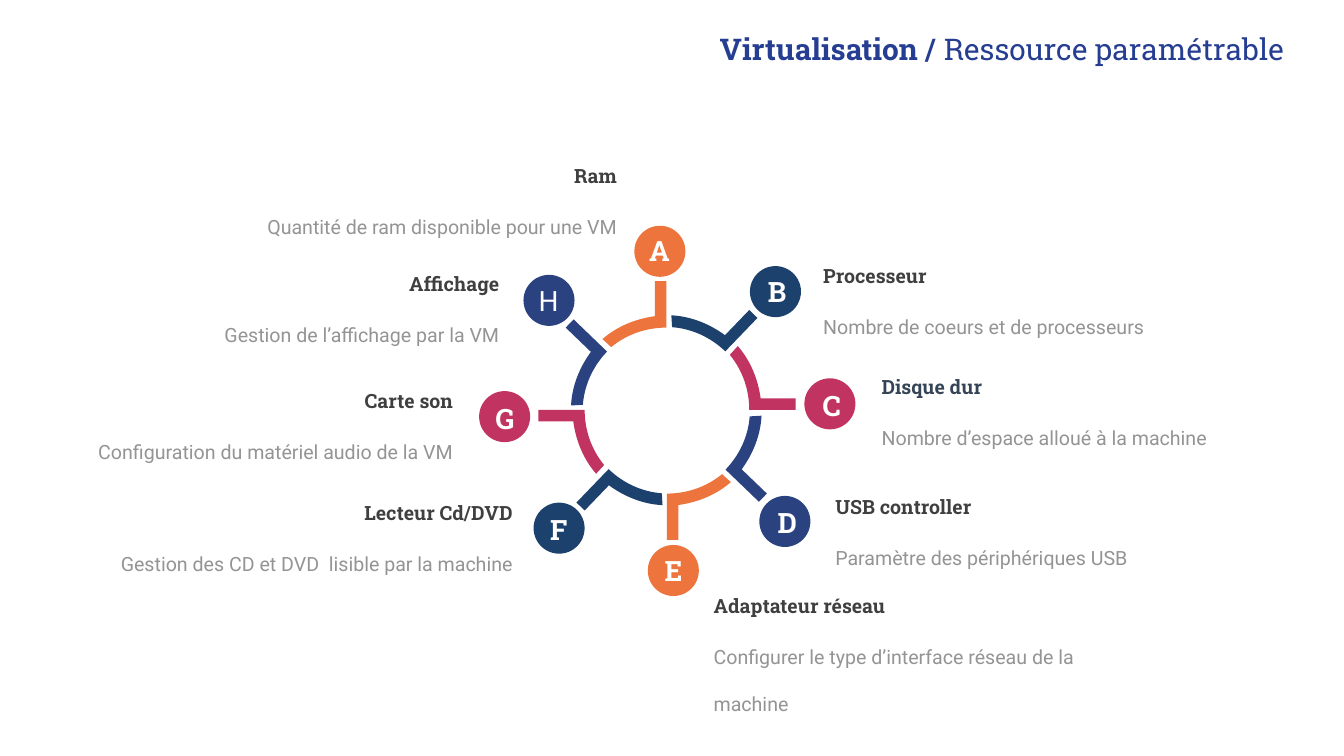
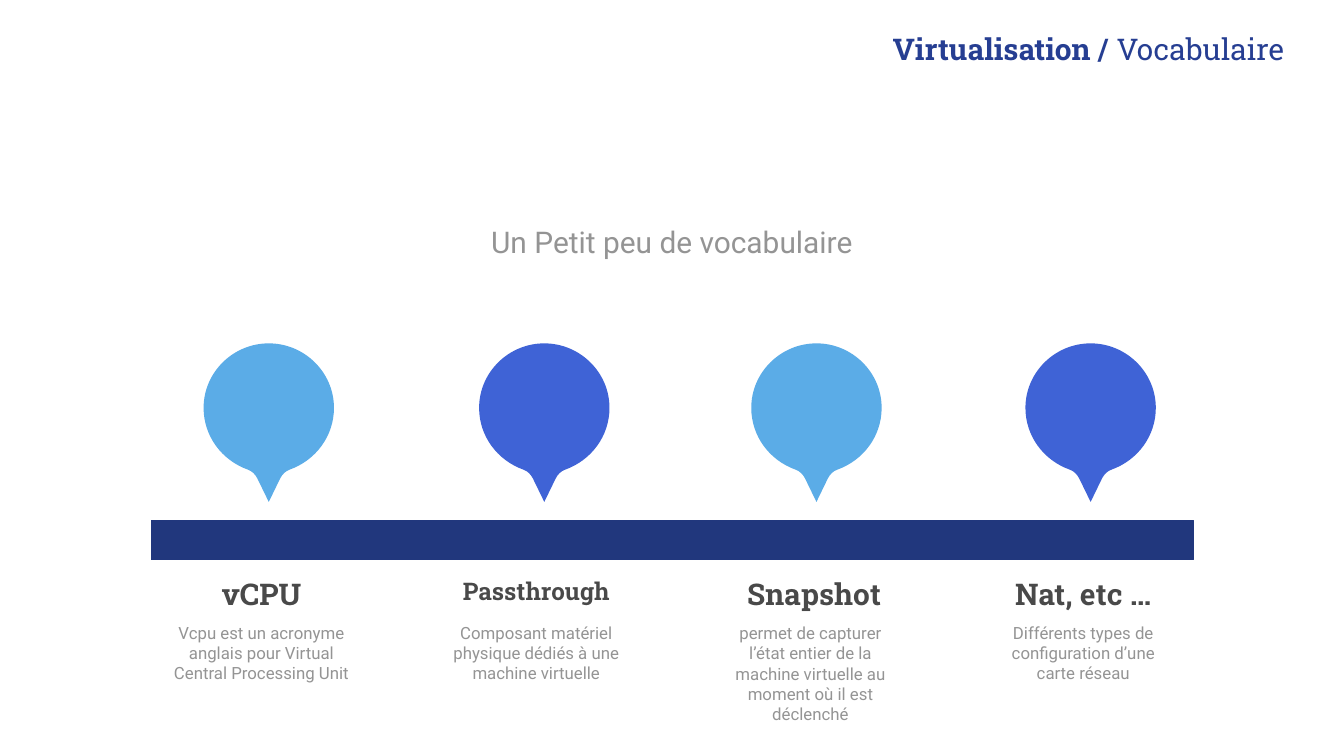
from dataclasses import dataclass

from lxml import etree
from pptx import Presentation
from pptx import util as u
from pptx.dml.color import RGBColor
from pptx.enum import shapes, text
from pptx.oxml import ns

Point = tuple[float, float]
Segment = tuple[Point, ...]  # one point: straight line; three points: Bézier curve

LEFT, CENTER, RIGHT = text.PP_ALIGN.LEFT, text.PP_ALIGN.CENTER, text.PP_ALIGN.RIGHT


@dataclass(frozen=True)
class TextStyle:
    font: str
    size: float
    color: str
    bold: bool = False


@dataclass(frozen=True)
class Theme:
    title_bold: TextStyle = TextStyle("Roboto Slab", 32, "263E92", True)
    title_plain: TextStyle = TextStyle("Roboto Slab", 32, "263E92")
    lead: TextStyle = TextStyle("Roboto", 32, "949494")
    badge: TextStyle = TextStyle("Roboto Slab", 30, "FFFFFF", True)
    badge_plain: TextStyle = TextStyle("Roboto", 30, "FFFFFF")
    label: TextStyle = TextStyle("Roboto Slab", 21, "3F3F3F", True)
    label_slate: TextStyle = TextStyle("Roboto Slab", 21, "364556", True)
    detail: TextStyle = TextStyle("Roboto", 21, "949494")
    term: TextStyle = TextStyle("Roboto Slab", 32, "494949", True)
    term_small: TextStyle = TextStyle("Roboto Slab", 26, "494949", True)
    definition: TextStyle = TextStyle("Roboto", 18, "949494")
    wheel: tuple[str, ...] = ("ED743C", "1C416D", "C13461", "2B4280")
    pins: tuple[str, ...] = ("5BACE7", "3F63D6")
    bar: str = "21377D"


THEME = Theme()


@dataclass(frozen=True)
class Resource:
    """One arm of the wheel; arm, badge and initial are top-left corners.

    edge is the side on which the name and the detail are aligned.
    """
    letter: str
    name: str
    detail: str
    arm: Point
    badge: Point
    initial: Point
    edge: float
    top: float
    align: text.PP_ALIGN = LEFT
    label: TextStyle = THEME.label
    initial_style: TextStyle = THEME.badge
    detail_height: float = 0.43


@dataclass(frozen=True)
class Term:
    """pin and column are the middles of the pin and of the text below."""
    name: str
    definition: str
    pin: float
    column: float
    style: TextStyle = THEME.term
    name_width: float = 2.25
    definition_top: float = 9.22


RESOURCES = (
    Resource("A", "Ram", "Quantité de ram disponible pour une VM",
             (8.95, 4.2), (9.44, 3.36), (9.53, 3.43), 9.22, 2.4, RIGHT),
    Resource("B", "Processeur", "Nombre de coeurs et de processeurs",
             (10.1, 4.28), (11.16, 3.96), (11.28, 4.04), 12.21, 3.88),
    Resource("C", "Disque dur", "Nombre d’espace alloué à la machine",
             (10.86, 5.15), (11.97, 5.63), (12.09, 5.74), 13.08, 5.54,
             label=THEME.label_slate),
    Resource("D", "USB controller", "Paramètre des périphériques USB",
             (10.78, 6.31), (11.3, 7.38), (11.43, 7.48), 12.39, 7.33),
    Resource("E", "Adaptateur réseau", "Configurer le type d’interface réseau de la machine",
             (9.91, 7.07), (9.64, 8.11), (9.74, 8.2), 10.58, 8.79, detail_height=1.14),
    Resource("F", "Lecteur Cd/DVD", "Gestion des CD et DVD  lisible par la machine",
             (8.77, 6.98), (7.94, 7.48), (8.03, 7.59), 7.67, 7.41, RIGHT),
    Resource("G", "Carte son", "Configuration du matériel audio de la VM",
             (8.01, 6.1), (7.13, 5.82), (7.23, 5.93), 6.78, 5.74, RIGHT),
    Resource("H", "Affichage", "Gestion de l’affichage par la VM",
             (8.07, 4.96), (7.79, 4.09), (7.88, 4.18), 7.47, 4, RIGHT,
             initial_style=THEME.badge_plain),
)

TERMS = (
    Term("vCPU", "Vcpu est un acronyme anglais pour Virtual Central Processing Unit",
         4, 3.89),
    Term("Passthrough", "Composant matériel physique dédiés à une machine virtuelle",
         8.1, 7.98, THEME.term_small, name_width=2.49),
    Term(" Snapshot", "permet de capturer l’état entier de la machine virtuelle "
         "au moment où il est déclenché", 12.15, 12.06, definition_top=9.23),
    Term("Nat, etc …", "Différents types de configuration d’une carte réseau",
         16.23, 16.12),
)

# Arm pointing right, measured from the corner of its frame
ARM_START: Point = (0.98, 0.78)
ARM_SEGMENTS: tuple[Segment, ...] = (
    ((0.98, 0.95),),
    ((0.29, 0.95),),
    ((0.29, 0.65), (0.19, 0.36), (0, 0.13)),
    ((0.12, 0),),
    ((0.31, 0.22), (0.42, 0.49), (0.46, 0.78)),
)

# Pin, measured from the middle of its top
PIN_TOP = 5.11
PIN_START: Point = (0.97, 0.96)
PIN_SEGMENTS: tuple[Segment, ...] = (
    ((0.97, 0.43), (0.53, 0), (0, 0)),
    ((-0.53, 0), (-0.97, 0.43), (-0.97, 0.96)),
    ((-0.97, 1.38), (-0.7, 1.74), (-0.31, 1.88)),
    ((-0.25, 1.9), (-0.2, 1.95), (-0.17, 2.01)),
    ((0, 2.36),),
    ((0.17, 2.01),),
    ((0.2, 1.95), (0.25, 1.9), (0.31, 1.88)),
    ((0.7, 1.74), (0.97, 1.38), (0.97, 0.96)),
)


def paint(shape, color: str) -> None:
    shape.fill.solid()
    shape.fill.fore_color.rgb = RGBColor.from_string(color)
    shape.line.fill.background()
    shape.shadow.inherit = False


def add_outline(slide, origin: Point, start: Point, segments: tuple[Segment, ...]):
    """Draw a closed freeform, joining each three-point segment into one curve."""
    corners = [(u.Inches(origin[0] + x), u.Inches(origin[1] + y))
               for x, y in (start, *(point for segment in segments for point in segment))]
    builder = slide.shapes.build_freeform(*corners[0])
    builder.add_line_segments(corners[1:], close=True)
    outline = builder.convert_to_shape()
    lines = iter(outline._element.xpath(".//a:lnTo"))
    for segment in segments:
        parts = [next(lines) for _ in segment]
        if len(parts) == 3:
            curve = etree.Element(ns.qn("a:cubicBezTo"))
            parts[0].addprevious(curve)
            for part in parts:
                curve.append(part[0])
                part.getparent().remove(part)
    return outline


def format_span(span, style: TextStyle) -> None:
    span.font.name = style.font
    span.font.size = u.Pt(style.size)
    span.font.bold = style.bold
    span.font.color.rgb = RGBColor.from_string(style.color)


def set_insets(frame, inset: float) -> None:
    frame.margin_left = frame.margin_right = u.Inches(inset)
    frame.margin_top = frame.margin_bottom = u.Inches(inset)


def write(frame, words: str, style: TextStyle, align: text.PP_ALIGN) -> None:
    set_insets(frame, 0.04)
    frame.word_wrap = True
    frame.vertical_anchor = text.MSO_ANCHOR.TOP
    frame.text = words
    para = frame.paragraphs[0]
    para.alignment = align
    format_span(para.runs[0], style)


def add_text(slide, words: str, style: TextStyle, align: text.PP_ALIGN, left: float, top: float,
             width: float, height: float, grow: bool = False):
    box = slide.shapes.add_textbox(*map(u.Inches, (left, top, width, height)))
    write(box.text_frame, words, style, align)
    if grow:
        box.text_frame.auto_size = text.MSO_AUTO_SIZE.SHAPE_TO_FIT_TEXT
    return box


def add_titled_slide(deck, topic: str):
    slide = deck.slides.add_slide(deck.slide_layouts[5])
    title = slide.shapes.title
    title.left, title.top, title.width, title.height = map(u.Inches, (10, 0.6, 9.11, 0.38))
    frame = title.text_frame
    set_insets(frame, 0)
    frame.word_wrap = True
    frame.vertical_anchor = text.MSO_ANCHOR.TOP
    frame.auto_size = text.MSO_AUTO_SIZE.SHAPE_TO_FIT_TEXT
    para = frame.paragraphs[0]
    para.alignment = RIGHT
    para.line_spacing = 0.7
    for words, style in (("Virtualisation / ", THEME.title_bold), (topic, THEME.title_plain)):
        span = para.add_run()
        span.text = words
        format_span(span, style)
    return slide


def add_arm(slide, resource: Resource, index: int) -> None:
    """Draw the arm and its badge; every second arm lies between two quarter turns."""
    color = THEME.wheel[index % len(THEME.wheel)]
    quarter, between = divmod(index, 2)
    arm = add_outline(slide, resource.arm, ARM_START, ARM_SEGMENTS)
    arm.rotation = (270 + 90 * quarter + 43.9 * between) % 360
    paint(arm, color)
    badge = slide.shapes.add_shape(shapes.MSO_SHAPE.OVAL,
                                   *map(u.Inches, (*resource.badge, 0.76, 0.76)))
    paint(badge, color)
    add_text(slide, resource.letter, resource.initial_style, CENTER,
             *resource.initial, 0.57, 0.58, grow=True)


def add_resource_text(slide, resource: Resource) -> None:
    on_right = resource.align == LEFT
    name_width, detail_width = 3.23, 6.46 if on_right else 6.32
    name_left, detail_left = (resource.edge if on_right else resource.edge - width
                              for width in (name_width, detail_width))
    detail = add_text(slide, resource.detail, THEME.detail, resource.align, detail_left,
                      resource.top + 0.41, detail_width, resource.detail_height, grow=True)
    detail.text_frame.paragraphs[0].line_spacing = 2.0
    add_text(slide, resource.name, resource.label, resource.align, name_left,
             resource.top, name_width, 0.43, grow=True)


def build_resources(deck) -> None:
    slide = add_titled_slide(deck, "Ressource paramétrable")
    for index, resource in enumerate(RESOURCES):
        add_arm(slide, resource, index)
    for resource in RESOURCES:
        add_resource_text(slide, resource)


def add_lead(slide, words: str) -> None:
    width, height = 15.54, 1.15
    frame_sides = (((width, 0),), ((width, height),), ((0, height),))
    lead = add_outline(slide, (2.23, 3.29), (0, 0), frame_sides)
    lead.fill.background()
    lead.line.fill.background()
    lead.shadow.inherit = False
    write(lead.text_frame, words, THEME.lead, CENTER)


def build_vocabulary(deck) -> None:
    slide = add_titled_slide(deck, "Vocabulaire")
    for index, term in enumerate(TERMS):
        pin = add_outline(slide, (term.pin, PIN_TOP), PIN_START, PIN_SEGMENTS)
        paint(pin, THEME.pins[index % len(THEME.pins)])
    for term in TERMS:
        add_text(slide, term.definition, THEME.definition, CENTER,
                 term.column - 1.37, term.definition_top, 2.74, 0.93)
        add_text(slide, term.name, term.style, CENTER,
                 term.column - term.name_width / 2, 8.53, term.name_width, 0.49)
    bar = slide.shapes.add_shape(shapes.MSO_SHAPE.RECTANGLE,
                                 *map(u.Inches, (2.25, 7.74, 15.51, 0.59)))
    paint(bar, THEME.bar)
    bar.line.color.rgb = RGBColor.from_string(THEME.bar)
    bar.line.width = u.Pt(1)
    add_lead(slide, "Un Petit peu de vocabulaire")


def main() -> None:
    deck = Presentation()
    deck.slide_width, deck.slide_height = u.Inches(20), u.Inches(11.25)
    build_resources(deck)
    build_vocabulary(deck)
    deck.save("out.pptx")


if __name__ == "__main__":
    main()
